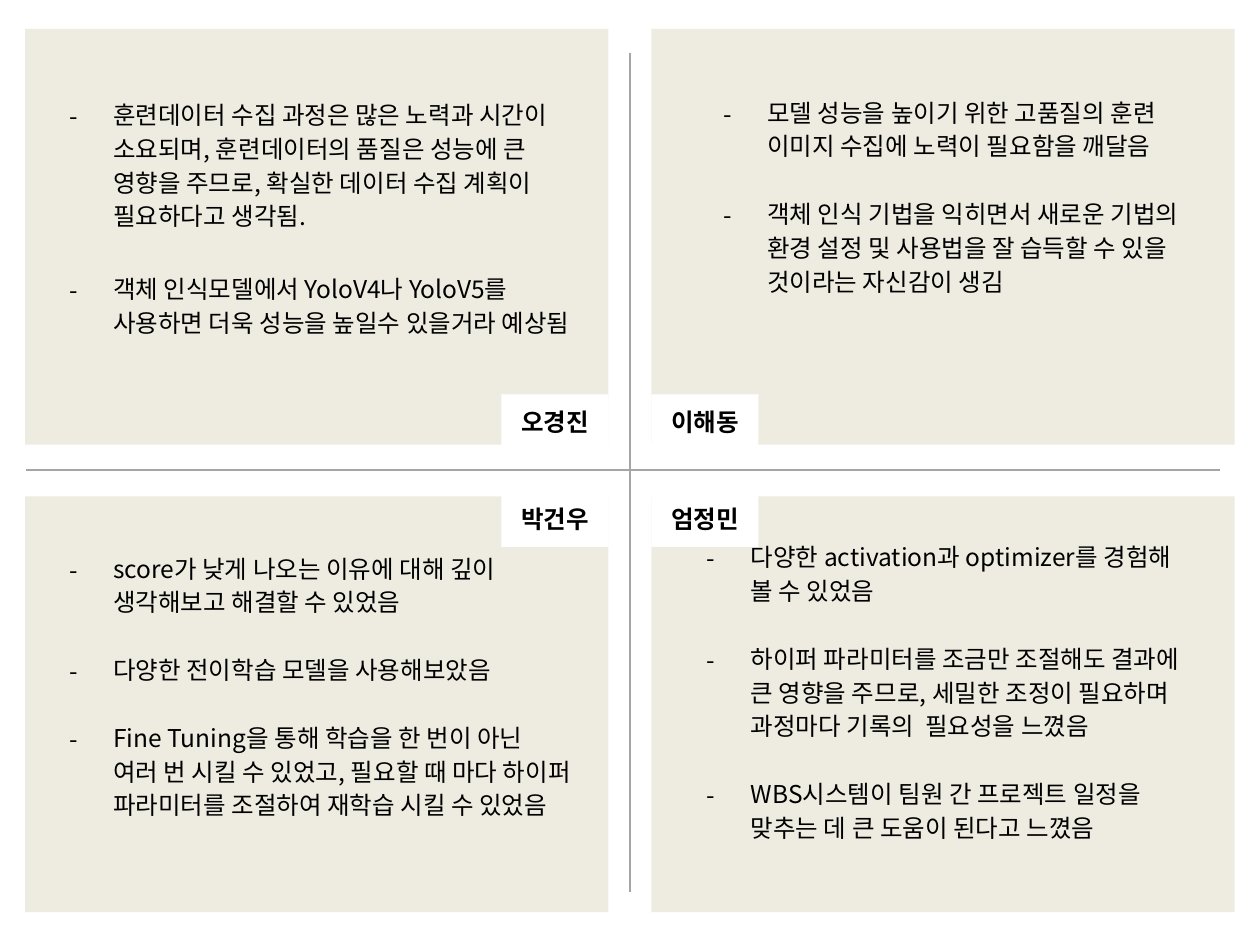
"""Build a four-quadrant slide of team members' reflections."""
from lxml import etree
from pptx import Presentation
from pptx.dml.color import RGBColor
from pptx.enum.shapes import MSO_CONNECTOR, MSO_SHAPE
from pptx.enum.text import MSO_ANCHOR, PP_ALIGN
from pptx.oxml.ns import qn
from pptx.util import Inches, Pt

RECTANGLE = MSO_SHAPE.RECTANGLE
STRAIGHT = MSO_CONNECTOR.STRAIGHT
MIDDLE = MSO_ANCHOR.MIDDLE
TOP = MSO_ANCHOR.TOP
CENTER = PP_ALIGN.CENTER
LEFT = PP_ALIGN.LEFT

BEIGE = RGBColor(0xEE, 0xEC, 0xE1)
WHITE = RGBColor(0xFF, 0xFF, 0xFF)
GRAY = RGBColor(0xA5, 0xA5, 0xA5)
BLACK = RGBColor(0x00, 0x00, 0x00)

LATIN_FONT = "Calibri"
KOREAN_FONT = "Noto Sans CJK KR"
TEXT_SIZE = Pt(14)
ITEM_GAP = Pt(19.4)

CARD_WIDTH, CARD_HEIGHT = 4.63, 3.3
TAG_WIDTH, TAG_HEIGHT = 0.85, 0.44
LEFT_CARD, RIGHT_CARD = 0.2, 5.17
LEFT_TAG = LEFT_CARD + CARD_WIDTH - TAG_WIDTH
TOP_CARD, BOTTOM_CARD = 0.23, 3.94
TOP_TAG, BOTTOM_TAG = 3.13, 3.9

MEMBERS = [
    ("오경진", LEFT_CARD, TOP_CARD, LEFT_TAG, TOP_TAG),
    ("이해동", RIGHT_CARD, TOP_CARD, RIGHT_CARD, TOP_TAG),
    ("박건우", LEFT_CARD, BOTTOM_CARD, LEFT_TAG, BOTTOM_TAG),
    ("엄정민", RIGHT_CARD, BOTTOM_CARD, RIGHT_CARD, BOTTOM_TAG),
]

REFLECTIONS = [
    ((0.3, 0.66, 4.34, 1.25), [
        "훈련데이터 수집 과정은 많은 노력과 시간이 소요되며, 훈련데이터의 품질은 성능에 큰 "
        "영향을 주므로, 확실한 데이터 수집 계획이 필요하다고 생각됨.",
    ]),
    ((0.3, 2.04, 4.34, 0.98), [
        "객체 인식모델에서 YoloV4나 YoloV5를 사용하면 더욱 성능을 높일수 있을거라 예상됨",
    ]),
    ((5.49, 0.64, 4.12, 2.61), [
        "모델 성능을 높이기 위한 고품질의 훈련 이미지 수집에 노력이 필요함을 깨달음",
        "객체 인식 기법을 익히면서 새로운 기법의 환경 설정 및 사용법을 잘 습득할 수 있을 "
        "것이라는 자신감이 생김",
    ]),
    ((0.3, 4.26, 4.34, 2.61), [
        "score가 낮게 나오는 이유에 대해 깊이 생각해보고 해결할 수 있었음",
        "다양한 전이학습 모델을 사용해보았음",
        "Fine Tuning을 통해 학습을 한 번이 아닌 여러 번 시킬 수 있었고, 필요할 때 마다 "
        "하이퍼 파라미터를 조절하여 재학습 시킬 수 있었음",
    ]),
    ((5.36, 4.17, 4.25, 1.9), [
        "다양한 activation과 optimizer를 경험해 볼 수 있었음",
        "하이퍼 파라미터를 조금만 조절해도 결과에 큰 영향을 주므로, 세밀한 조정이 필요하며 "
        "과정마다 기록의  필요성을 느꼈음",
        "WBS시스템이 팀원 간 프로젝트 일정을 맞추는 데 큰 도움이 된다고 느꼈음",
    ]),
]


def add_divider(page, start, end):
    """Draw a thin gray line between two points."""
    line = page.shapes.add_connector(STRAIGHT, *map(Inches, start + end))
    line.line.color.rgb = GRAY
    line.line.width = Pt(0.75)
    etree.SubElement(line._element.spPr, qn("a:effectLst"))


def add_panel(page, left, top, width, height, color):
    """Add a plain filled rectangle and return it."""
    panel = page.shapes.add_shape(RECTANGLE, *map(Inches, (left, top, width, height)))
    panel.shadow.inherit = False
    panel.fill.solid()
    panel.fill.fore_color.rgb = color
    panel.line.fill.background()
    return panel


def prepare_frame(box, anchor):
    """Set insets, wrapping and anchor, and return the text frame."""
    frame = box.text_frame
    frame.word_wrap = True
    frame.vertical_anchor = anchor
    frame.margin_left = frame.margin_right = Inches(0.1)
    frame.margin_top = frame.margin_bottom = Inches(0.1)
    return frame


def add_span(para, text, font_name, bold=False):
    """Add one black run with its Latin and Korean fonts."""
    span = para.add_run()
    span.text = text
    span.font.size = TEXT_SIZE
    span.font.bold = bold
    span.font.color.rgb = BLACK
    span.font.name = font_name
    etree.SubElement(span._r.get_or_add_rPr(), qn("a:ea"), typeface=KOREAN_FONT)


def add_name_tag(page, name, left, top):
    """Add a white tag with a member's name."""
    tag = add_panel(page, left, top, TAG_WIDTH, TAG_HEIGHT, WHITE)
    para = prepare_frame(tag, MIDDLE).paragraphs[0]
    para.alignment = CENTER
    add_span(para, name, LATIN_FONT, bold=True)


def set_dash(para):
    """Give a paragraph a hanging black dash."""
    properties = para._p.get_or_add_pPr()
    properties.set("marL", str(Inches(0.5)))
    properties.set("indent", str(Inches(-0.35)))
    color = etree.SubElement(properties, qn("a:buClr"))
    etree.SubElement(color, qn("a:srgbClr"), val=str(BLACK))
    etree.SubElement(properties, qn("a:buFont"), typeface=KOREAN_FONT)
    etree.SubElement(properties, qn("a:buChar"), char="-")


def add_reflections(page, area, items):
    """Add a text box with dashed items."""
    box = page.shapes.add_textbox(*map(Inches, area))
    frame = prepare_frame(box, TOP)
    for index, item in enumerate(items):
        para = frame.add_paragraph() if index else frame.paragraphs[0]
        set_dash(para)
        para.alignment = LEFT
        para.line_spacing = 1.15
        if index:
            para.space_before = ITEM_GAP
        add_span(para, item, KOREAN_FONT)


def main():
    """Build and save the deck."""
    deck = Presentation()
    deck.slide_width, deck.slide_height = Inches(10), Inches(7.5)
    page = deck.slides.add_slide(deck.slide_layouts[6])
    add_divider(page, (0.21, 3.73), (9.68, 3.73))
    add_divider(page, (5, 0.42), (5, 7.08))
    for name, card_left, card_top, tag_left, tag_top in MEMBERS:
        add_panel(page, card_left, card_top, CARD_WIDTH, CARD_HEIGHT, BEIGE)
        add_name_tag(page, name, tag_left, tag_top)
    for area, items in REFLECTIONS:
        add_reflections(page, area, items)
    deck.save("out.pptx")


if __name__ == "__main__":
    main()
